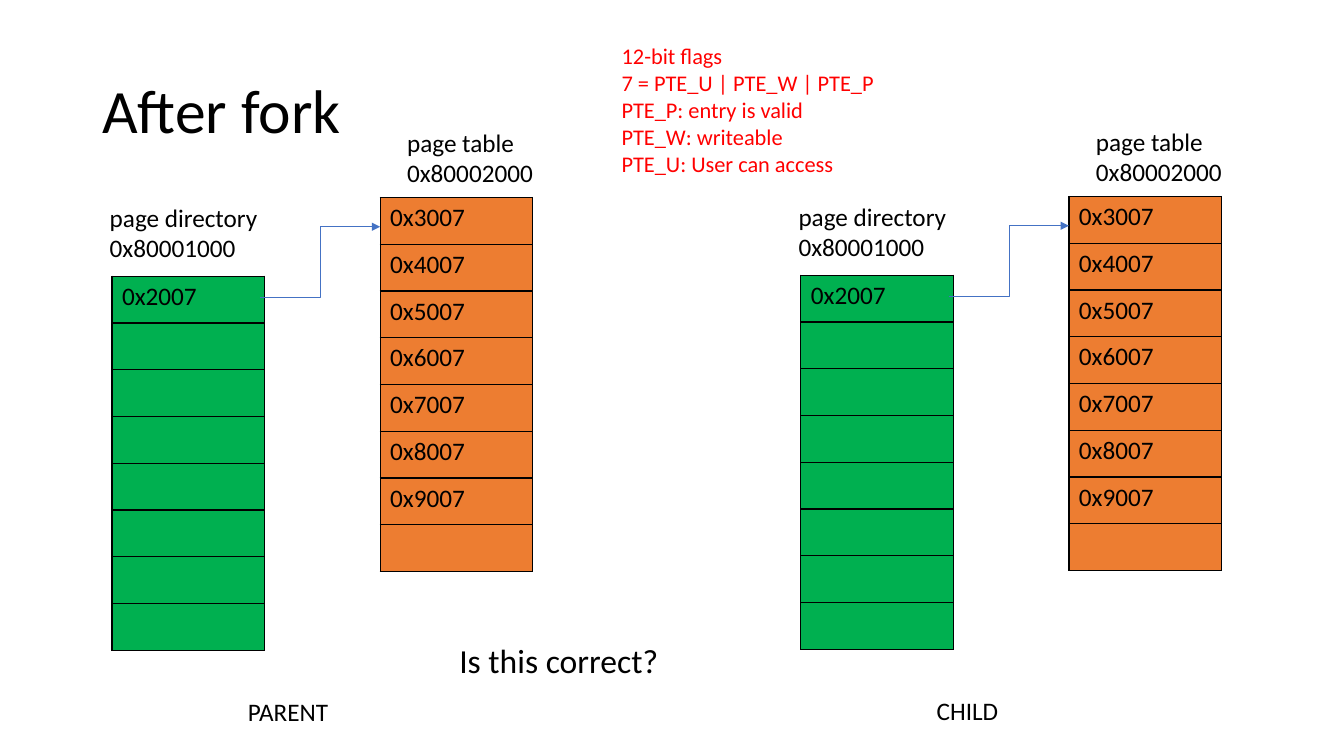
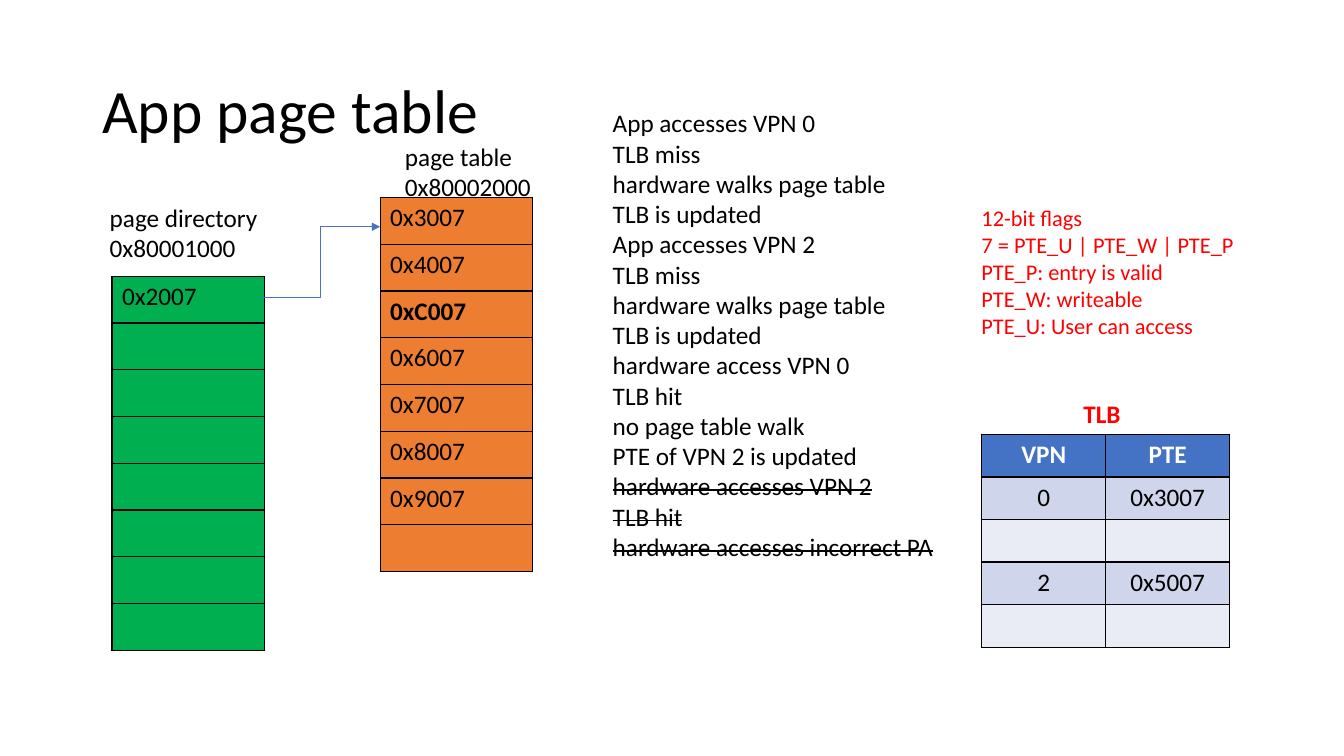
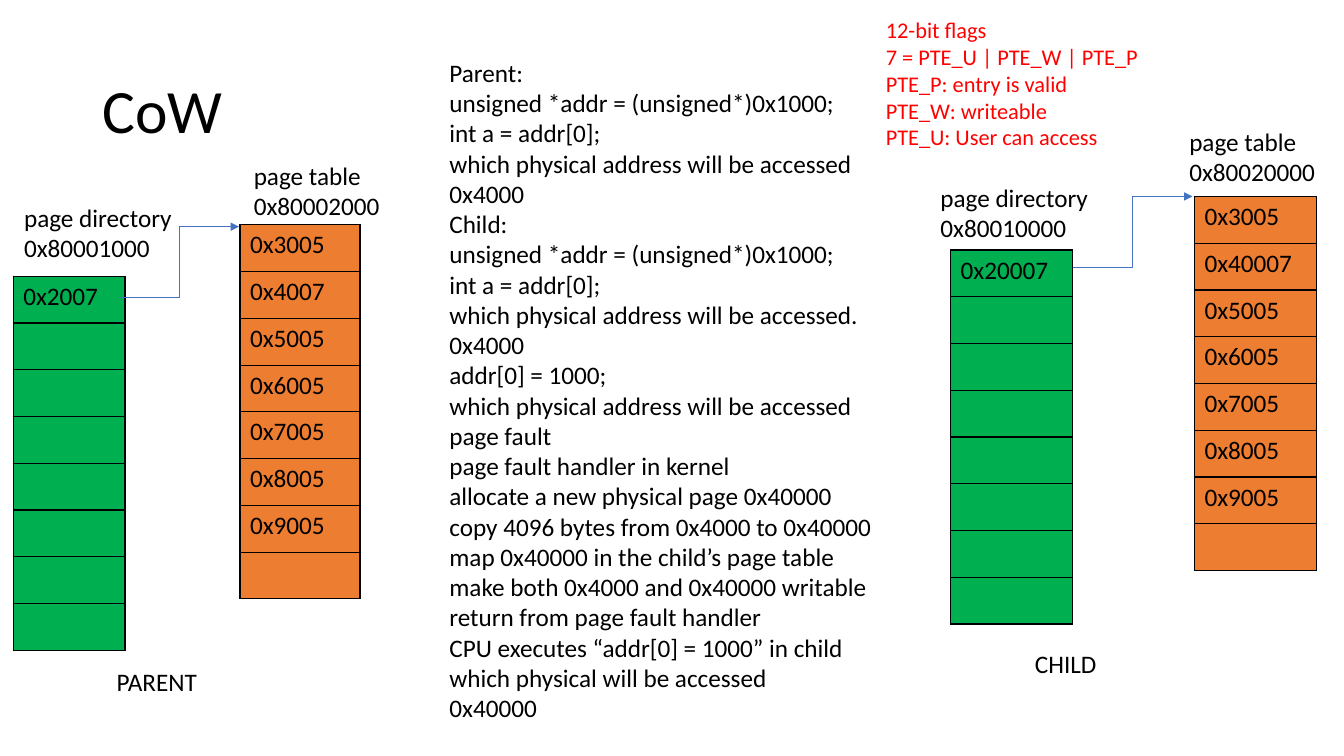
from lxml.etree import SubElement
from pptx import Presentation
from pptx.dml.color import RGBColor
from pptx.enum.shapes import MSO_CONNECTOR as CONNECTOR
from pptx.enum.text import MSO_ANCHOR as ANCHOR, MSO_AUTO_SIZE as AUTO_SIZE, PP_ALIGN as ALIGN
from pptx.oxml.ns import qn
from pptx.util import Pt

# Shared style
WIDTH, HEIGHT = 960, 540
FONT = "Calibri"
BLACK, WHITE, RED = "000000", "FFFFFF", "FF0000"
GREEN, ORANGE, BLUE = "00B050", "ED7D31", "4472C4"
BAND_DARK, BAND_LIGHT = "CFD5EA", "E9EBF5"
ROWS, ROW_H = 8, 33.4
LINK_W, LINK_H = 85.7, 50.4
LABEL_W, CAPTION_W = 167, 177

FLAGS = ["12-bit flags", "7 = PTE_U | PTE_W | PTE_P", "PTE_P: entry is valid",
         "PTE_W: writeable", "PTE_U: User can access"]
FORK_ENTRIES = [f"0x{n}007" for n in range(3, 10)]
DIRECTORY_LABEL = ["page directory", "0x80001000"]
TABLE_LABEL = ["page table", "0x80002000"]


def rgb(value):
    return RGBColor.from_string(value)


class Deck:
    def __init__(self):
        self.prs = Presentation()
        self.prs.slide_width, self.prs.slide_height = Pt(WIDTH), Pt(HEIGHT)
        self.s = None

    def slide(self, title):
        self.s = self.prs.slides.add_slide(self.prs.slide_layouts[6])
        tf = self.text(66, 29, 828, [title], size=44, height=104.4)
        tf.auto_size = AUTO_SIZE.NONE
        tf.vertical_anchor = ANCHOR.MIDDLE
        tf.paragraphs[0].line_spacing = 0.9

    def run(self, p, text, color=BLACK, size=18, bold=False, strike=False):
        r = p.add_run()
        r.text = text
        for name, value in {"name": FONT, "size": Pt(size), "bold": bold}.items():
            setattr(r.font, name, value)
        r.font.color.rgb = rgb(color)
        if strike:
            r._r.get_or_add_rPr().set("strike", "sngStrike")

    def text(self, x, y, w, lines, size=18, height=None, struck=(), **fmt):
        """Text box; its height follows the number of lines unless given."""
        height = height or len(lines) * size * 1.21 + 7.2
        w = min(w, WIDTH - x)
        tf = self.s.shapes.add_textbox(Pt(x), Pt(y), Pt(w), Pt(height)).text_frame
        tf.word_wrap = True
        tf.auto_size = AUTO_SIZE.SHAPE_TO_FIT_TEXT
        for i, line in enumerate(lines):
            p = tf.add_paragraph() if i else tf.paragraphs[0]
            self.run(p, line, size=size, strike=i in struck, **fmt)
        return tf

    def flags(self, x, y):
        self.text(x, y, 219, FLAGS, size=16, color=RED)

    def cell(self, cell, text, fill, align=ALIGN.LEFT, **fmt):
        tc_pr = cell._tc.get_or_add_tcPr()
        for side in ("a:lnL", "a:lnR", "a:lnT", "a:lnB"):
            ln = SubElement(tc_pr, qn(side), w=str(Pt(1)))
            SubElement(SubElement(ln, qn("a:solidFill")), qn("a:srgbClr"), val=BLACK)
        cell.fill.solid()
        cell.fill.fore_color.rgb = rgb(fill)
        p = cell.text_frame.paragraphs[0]
        p.alignment = align
        if text:
            self.run(p, text, **fmt)

    def table(self, x, y, w, rows, cols, row_h):
        table = self.s.shapes.add_table(rows, cols, Pt(x), Pt(y), Pt(w), Pt(rows * row_h)).table
        table.first_row = table.horz_banding = False
        return table

    def entries(self, x, y, w, values, fill, bold=()):
        """One-column table of page entries, filled from the top."""
        table = self.table(x, y, w, ROWS, 1, ROW_H)
        for i in range(ROWS):
            value = values[i] if i < len(values) else ""
            self.cell(table.cell(i, 0), value, fill, bold=value in bold)

    def grid(self, x, y, w, rows, row_h):
        """Banded table with a header row."""
        table = self.table(x, y, w, len(rows), len(rows[0]), row_h)
        for i, row in enumerate(rows):
            fill = BLUE if i == 0 else BAND_DARK if i % 2 else BAND_LIGHT
            for j, value in enumerate(row):
                self.cell(table.cell(i, j), value, fill, ALIGN.CENTER,
                          color=BLACK if i else WHITE, bold=i == 0)

    def link(self, x, y):
        c = self.s.shapes.add_connector(CONNECTOR.ELBOW, Pt(x), Pt(y),
                                        Pt(x + LINK_W), Pt(y - LINK_H))
        c.line.color.rgb = rgb(BLUE)
        c.line.width = Pt(0.5)
        SubElement(c.line._get_or_add_ln(), qn("a:tailEnd"), type="triangle")
        SubElement(c._element.spPr, qn("a:effectLst"))

    def page_map(self, directory, table, labels, link, widths, values, entry="0x2007",
                 names=(DIRECTORY_LABEL, TABLE_LABEL), bold=()):
        """Page directory, its page table, their labels and the link between."""
        for at, name in zip(labels, names):
            self.text(*at, LABEL_W, name)
        self.entries(*directory, widths[0], [entry], GREEN)
        self.entries(*table, widths[1], values, ORANGE, bold)
        self.link(*link)

    def caption(self, x, y, name):
        self.text(x, y, CAPTION_W, [name])


def fork_map(deck, dx=0, dy=0, table_label=(283.7, 87.1), **kw):
    def at(x, y):
        return x + dx, y + dy
    deck.page_map(at(80, 197.3), at(271.5, 141.1), [at(71.3, 141.1), at(*table_label)],
                  at(185.8, 212.4), (109, 109), **kw)


def after_fork(deck):
    deck.slide("After fork")
    for name, dx, dy in (("PARENT", 0, 0), ("CHILD", 492, -0.7)):
        fork_map(deck, dx, dy, values=FORK_ENTRIES)
        deck.caption(170 + dx, 493.9 + dy, name)
    deck.text(321, 453.6, 203, ["Is this correct?"], size=24)
    deck.flags(437, 26.6)


def app_page_table(deck):
    deck.slide("App page table")
    values = ["0xC007" if v == "0x5007" else v for v in FORK_ENTRIES]
    fork_map(deck, table_label=(282.2, 97.2), values=values, bold=["0xC007"])
    deck.flags(694, 142.6)
    # TLB contents
    deck.text(766.8, 280.8, 134.6, ["TLB"], color=RED, bold=True)
    deck.grid(701.3, 310.3, 177, [("VPN", "PTE"), ("0", "0x3007"), ("", ""),
                                  ("2", "0x5007"), ("", "")], 30.4)
    # Access sequence
    miss = ["TLB miss", "hardware walks page table", "TLB is updated"]
    steps = ["App accesses VPN 0", *miss, "App accesses VPN 2", *miss,
             "hardware access VPN 0", "TLB hit", "no page table walk",
             "PTE of VPN 2 is updated", "hardware accesses VPN 2", "TLB hit",
             "hardware accesses incorrect PA"]
    deck.text(430.6, 73.4, 247.7, steps, struck=range(12, 15))


def copy_on_write(deck):
    deck.slide("CoW")
    read_only = [f"0x{n}005" for n in range(3, 10)]
    # Parent
    deck.page_map((9.4, 197.3), (171.4, 160.6), [(10.1, 141.1), (174.2, 110.9)],
                  (85, 212.4), (79.9, 85.7), [read_only[0], "0x4007", *read_only[2:]])
    deck.caption(76.3, 472.3, "PARENT")
    # Child
    deck.page_map((679, 178.6), (853.2, 140.4), [(664.6, 126.7), (842.4, 86.4)],
                  (766.1, 190.8), (87.1, 87.1), [read_only[0], "0x40007", *read_only[2:]],
                  entry="0x20007",
                  names=(["page directory", "0x80010000"], ["page table", "0x80020000"]))
    deck.caption(732.2, 459.4, "CHILD")
    deck.flags(625.7, 7.9)
    # Access sequence
    read = ["unsigned *addr = (unsigned*)0x1000;", "int a = addr[0];"]
    question = "which physical address will be accessed"
    deck.text(313.9, 37.4, 329, [
        "Parent:", *read, question, "0x4000",
        "Child:", *read, question + ".", "0x4000",
        "addr[0] = 1000;", question, "page fault", "page fault handler in kernel",
        "allocate a new physical page 0x40000",
        "copy 4096 bytes from 0x4000 to 0x40000",
        "map 0x40000 in the child’s page table",
        "make both 0x4000 and 0x40000 writable",
        "return from page fault handler",
        "CPU executes “addr[0] = 1000” in child",
        "which physical will be accessed", "0x40000"])


def main():
    deck = Deck()
    for build in (after_fork, app_page_table, copy_on_write):
        build(deck)
    deck.prs.save("out.pptx")


if __name__ == "__main__":
    main()
